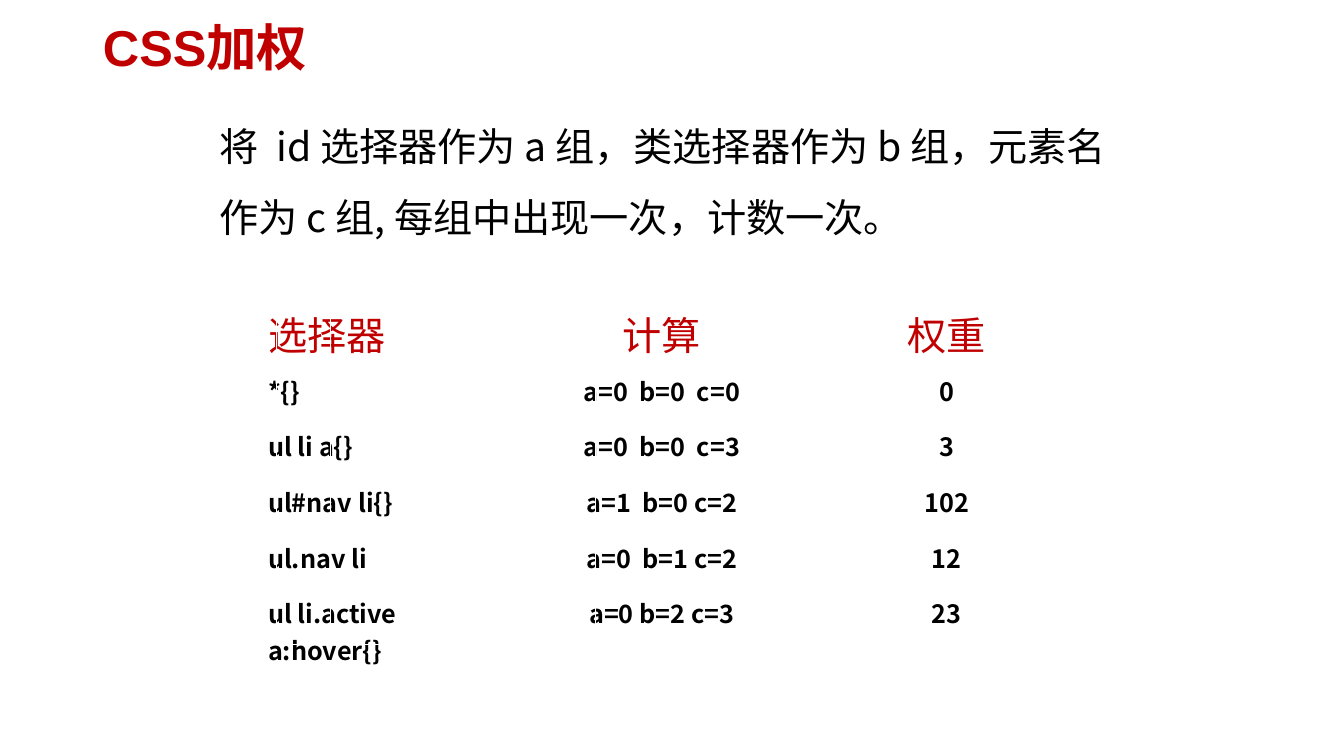
from pptx import Presentation
from pptx.dml.color import RGBColor
from pptx.enum.text import MSO_ANCHOR, PP_ALIGN
from pptx.oxml.ns import qn
from pptx.util import Cm, Pt
from lxml import etree

HUES = {"red": "C00000", "black": "000000"}
SANS = "Noto Sans CJK SC"
LOOKS = {
    "title": {"size": Pt(36), "bold": True, "name": "Arial"},
    "body": {"size": Pt(28), "bold": False, "name": SANS},
    "head": {"size": Pt(28), "bold": False, "name": SANS},
    "cell": {"size": Pt(18), "bold": True, "name": SANS},
}


def write(frame, text, look, hue, align=PP_ALIGN.LEFT):
    par = frame.paragraphs[0]
    par.alignment = align
    run = par.add_run()
    run.text = text
    for key, val in LOOKS[look].items():
        setattr(run.font, key, val)
    run.font.color.rgb = RGBColor.from_string(HUES[hue])
    east = etree.SubElement(run.font._element, qn("a:ea"))
    east.set("typeface", SANS)
    return par


def place(shape, left, top, width, height):
    shape.left, shape.top = Cm(left), Cm(top)
    shape.width, shape.height = Cm(width), Cm(height)


deck = Presentation()
deck.slide_width, deck.slide_height = Cm(33.87), Cm(19.05)
slide = deck.slides.add_slide(deck.slide_layouts[1])

# Title
title = slide.shapes.title
place(title, 2.34, 0.15, 29.21, 2.24)
title.text_frame.vertical_anchor = MSO_ANCHOR.MIDDLE
par = write(title.text_frame, "CSS加权", "title", "red")
par.line_spacing = 0.9

# Rule for counting
body = slide.placeholders[1]
place(body, 5.28, 2.36, 23.32, 16.38)
rule = "将  id 选择器作为 a 组，类选择器作为 b 组，元素名作为 c 组, 每组中出现一次，计数一次。"
par = write(body.text_frame, rule, "body", "black")
par.line_spacing = 1.5
par.space_before = Pt(0)
props = par._p.get_or_add_pPr()
props.set("marL", "0")
props.set("indent", "0")
etree.SubElement(props, qn("a:buNone"))

# Three stacked tables, each filling one column
WIDTHS = [6.68, 6.07, 5.56]
ROWS = [1.57] + [1.4] * 5
LEFTS = [6.5, 6.96, 8.33]
LISTS = [
    ["选择器", "*{}", "ul li a{}", "ul#nav li{}", "ul.nav li", "ul li.active a:hover{}"],
    ["计算", "a=0  b=0  c=0", "a=0  b=0  c=3", "a=1  b=0 c=2", "a=0  b=1 c=2", "a=0 b=2 c=3"],
    ["权重", "0", "3", "102", "12", "23"],
]
for col, (left, texts) in enumerate(zip(LEFTS, LISTS)):
    grid = slide.shapes.add_table(
        len(ROWS), len(WIDTHS), Cm(left), Cm(7.57), Cm(sum(WIDTHS)), Cm(sum(ROWS))
    ).table
    grid.horz_banding = False
    for part, width in zip(grid.columns, WIDTHS):
        part.width = Cm(width)
    for part, height in zip(grid.rows, ROWS):
        part.height = Cm(height)
    for cell in grid.iter_cells():
        cell.fill.background()
    align = PP_ALIGN.CENTER if col else PP_ALIGN.LEFT
    for row, text in enumerate(texts):
        look, hue = ("cell", "black") if row else ("head", "red")
        write(grid.cell(row, col).text_frame, text, look, hue, align)

deck.save("out.pptx")
